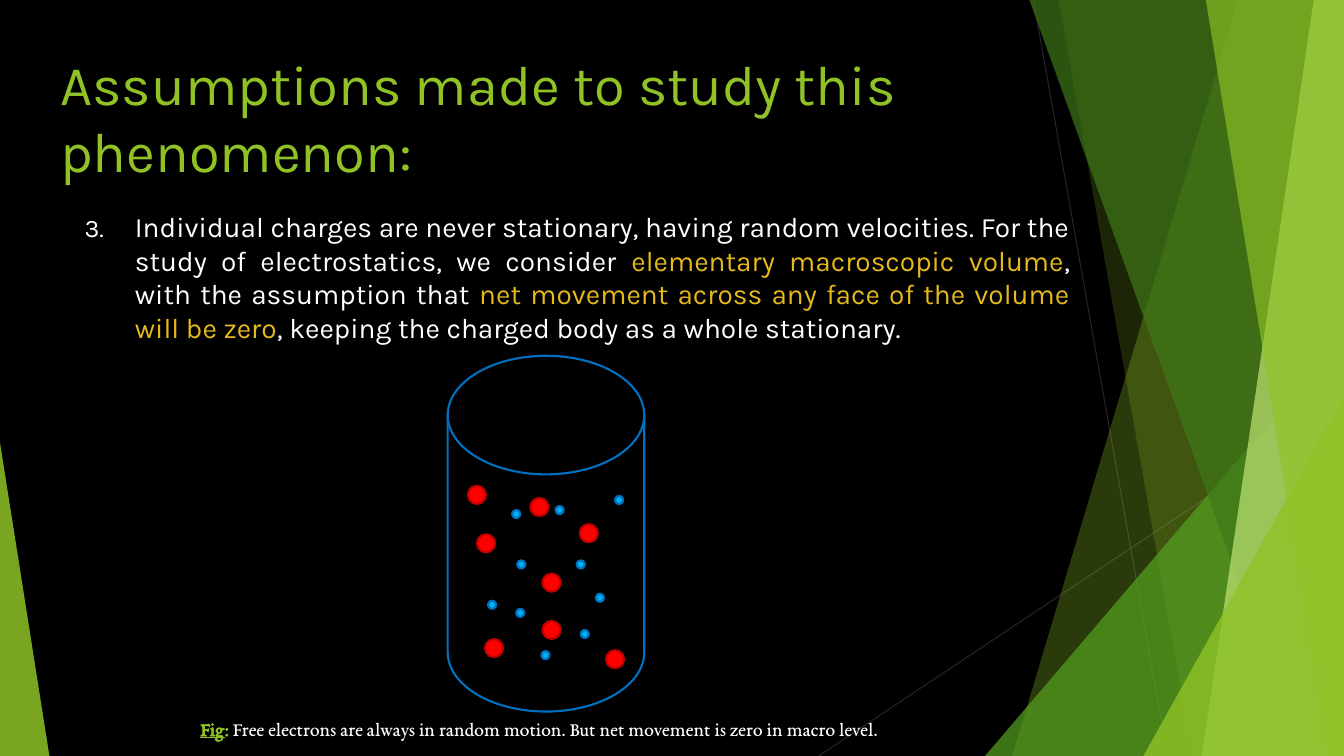
"""Build a slide on the assumptions made to study charges at rest."""
import dataclasses
import typing

import lxml.etree
import pptx
import pptx.dml.color
import pptx.enum.shapes
import pptx.enum.text
import pptx.oxml.ns
import pptx.util

Inches = pptx.util.Inches
Pt = pptx.util.Pt
qn = pptx.oxml.ns.qn
Shapes = pptx.enum.shapes.MSO_SHAPE
Align = pptx.enum.text.PP_ALIGN

WIDTH, HEIGHT = 13.33, 7.5
GREEN, GOLD, WHITE, BLUE = "90C226", "E6B91E", "FFFFFF", "0070C0"


@dataclasses.dataclass(frozen=True)
class Facet:
    top_x: float
    bottom_x: float
    color: str
    opacity: int


@dataclasses.dataclass(frozen=True)
class Wedge:
    left: float
    top: float
    width: float
    peak: float
    color: str
    opacity: int


@dataclasses.dataclass(frozen=True)
class Charge:
    size: float
    fill: str
    line: str
    places: tuple[tuple[float, float], ...]


@dataclasses.dataclass(frozen=True)
class Span:
    text: str
    color: str
    bold: bool = False
    underline: bool = False


RAYS = ((10.25, 0, 11.58, HEIGHT), (WIDTH, 4.03, 8.12, HEIGHT))
BACKDROP = (
    Facet(12.28, 10.04, GREEN, 30),
    Facet(10.5, 11.83, GREEN, 20),
    Wedge(9.77, 3.33, 3.56, 1, "54A021", 72),
    Facet(10.21, 12.91, "3F7819", 70),
    Facet(13.03, 11.92, "C0E474", 70),
    Facet(11.96, 13.18, GREEN, 65),
    Wedge(11.34, 3.93, 1.99, 1, GREEN, 80),
    Wedge(0, 4.39, 0.49, 0, GREEN, 85),
)
CHARGES = (
    Charge(0.18, "FF0000", "C00000", (
        (4.64, 4.82), (5.26, 4.94), (4.73, 5.3), (5.75, 5.2),
        (5.38, 5.69), (6.01, 6.45), (5.38, 6.16), (4.81, 6.34))),
    Charge(0.08, "00B0F0", BLUE, (
        (5.08, 5.06), (5.51, 5.02), (5.13, 5.56), (5.72, 5.56), (6.1, 4.92),
        (5.91, 5.89), (4.84, 5.96), (5.76, 6.25), (5.37, 6.46), (5.12, 6.04))),
)


def rgb(color: str) -> pptx.dml.color.RGBColor:
    return pptx.dml.color.RGBColor.from_string(color)


def paint(shape: typing.Any, fill: str, line: str | None = None, opacity: int = 100) -> None:
    shape.shadow.inherit = False
    shape.fill.solid()
    shape.fill.fore_color.rgb = rgb(fill)
    if opacity < 100:
        tone = shape.fill._xPr.find(".//" + qn("a:srgbClr"))
        lxml.etree.SubElement(tone, qn("a:alpha"), val=str(opacity * 1000))
    if line is None:
        shape.line.fill.background()
    else:
        shape.line.color.rgb = rgb(line)
        shape.line.width = Pt(1.5)


def add_preset(slide: typing.Any, kind: typing.Any, left: float, top: float,
               width: float, height: float) -> typing.Any:
    return slide.shapes.add_shape(kind, Inches(left), Inches(top), Inches(width), Inches(height))


def draw_ray(slide: typing.Any, ends: tuple[float, ...]) -> None:
    ray = slide.shapes.add_connector(
        pptx.enum.shapes.MSO_CONNECTOR.STRAIGHT, *(Inches(end) for end in ends))
    ray.line.color.rgb = rgb("262626")
    ray.line.width = Pt(0.75)
    lxml.etree.SubElement(ray._element.spPr, qn("a:effectLst"))


def draw_facet(slide: typing.Any, facet: Facet) -> None:
    builder = slide.shapes.build_freeform(Inches(facet.top_x), 0)
    corners = ((WIDTH, 0), (WIDTH, HEIGHT), (facet.bottom_x, HEIGHT))
    builder.add_line_segments([(Inches(x), Inches(y)) for x, y in corners], close=True)
    paint(builder.convert_to_shape(), facet.color, opacity=facet.opacity)


def draw_wedge(slide: typing.Any, wedge: Wedge) -> None:
    shape = add_preset(slide, Shapes.ISOSCELES_TRIANGLE, wedge.left, wedge.top,
                       wedge.width, HEIGHT - wedge.top)
    shape.adjustments[0] = wedge.peak
    paint(shape, wedge.color, opacity=wedge.opacity)


def draw_charges(slide: typing.Any, charge: Charge) -> None:
    for left, top in charge.places:
        dot = add_preset(slide, Shapes.OVAL, left, top, charge.size, charge.size)
        paint(dot, charge.fill, charge.line)


def add_text(slide: typing.Any, spans: tuple[Span, ...], *, left: float, top: float,
             width: float, height: float, size: float, font: str = "Karla",
             align: typing.Any = Align.LEFT, space_before: float = 0,
             number: int | None = None) -> None:
    box = slide.shapes.add_textbox(Inches(left), Inches(top), Inches(width), Inches(height))
    box.text_frame.word_wrap = True
    para = box.text_frame.paragraphs[0]
    para.alignment = align
    para.space_before = Pt(space_before)
    if number is not None:
        number_paragraph(para, number)
    for span in spans:
        run = para.add_run()
        run.text = span.text
        run.font.name = font
        run.font.size = Pt(size)
        run.font.bold = span.bold
        run.font.underline = span.underline
        run.font.color.rgb = rgb(span.color)


def number_paragraph(para: typing.Any, number: int) -> None:
    properties = para._p.get_or_add_pPr()
    properties.set("marL", str(Inches(0.5)))
    properties.set("indent", str(Inches(-0.5)))
    tone = lxml.etree.SubElement(properties, qn("a:buClr"))
    lxml.etree.SubElement(tone, qn("a:srgbClr"), val=WHITE)
    lxml.etree.SubElement(properties, qn("a:buSzPct"), val="90000")
    lxml.etree.SubElement(properties, qn("a:buFont"), typeface="Karla")
    lxml.etree.SubElement(properties, qn("a:buAutoNum"), type="arabicPeriod", startAt=str(number))


def main() -> None:
    deck = pptx.Presentation()
    deck.slide_width, deck.slide_height = Inches(WIDTH), Inches(HEIGHT)
    page = deck.slides.add_slide(deck.slide_layouts[6])
    page.background.fill.solid()
    page.background.fill.fore_color.rgb = rgb("000000")

    for ray in RAYS:
        draw_ray(page, ray)
    for piece in BACKDROP:
        if isinstance(piece, Facet):
            draw_facet(page, piece)
        else:
            draw_wedge(page, piece)

    add_text(page, (Span("Assumptions made to study this phenomenon:", GREEN),),
             left=0.5, top=0.44, width=9.4, height=1.44, size=40)
    add_text(page, (
        Span("Individual charges are never stationary, having random velocities. "
             "For the study of electrostatics, we consider ", WHITE),
        Span("elementary macroscopic volume", GOLD),
        Span(", with the assumption that ", WHITE),
        Span("net movement across any face of the volume will be zero", GOLD),
        Span(", keeping the charged body as a whole stationary.", WHITE),
    ), left=0.74, top=2.03, width=9.97, height=1.44, size=20, align=Align.JUSTIFY,
        space_before=10, number=3)

    cylinder = add_preset(page, Shapes.FLOWCHART_MAGNETIC_DISK, 4.44, 3.53, 1.95, 3.53)
    paint(cylinder, "000000", BLUE)
    for charge in CHARGES:
        draw_charges(page, charge)

    add_text(page, (
        Span("Fig", GREEN, bold=True, underline=True),
        Span(": ", GREEN, bold=True),
        Span("Free electrons are always in random motion. "
             "But net movement is zero in macro level. ", WHITE),
    ), left=1.8, top=7.06, width=7.14, height=0.34, size=14, font="EB Garamond",
        align=Align.CENTER)
    deck.save("out.pptx")


if __name__ == "__main__":
    main()
